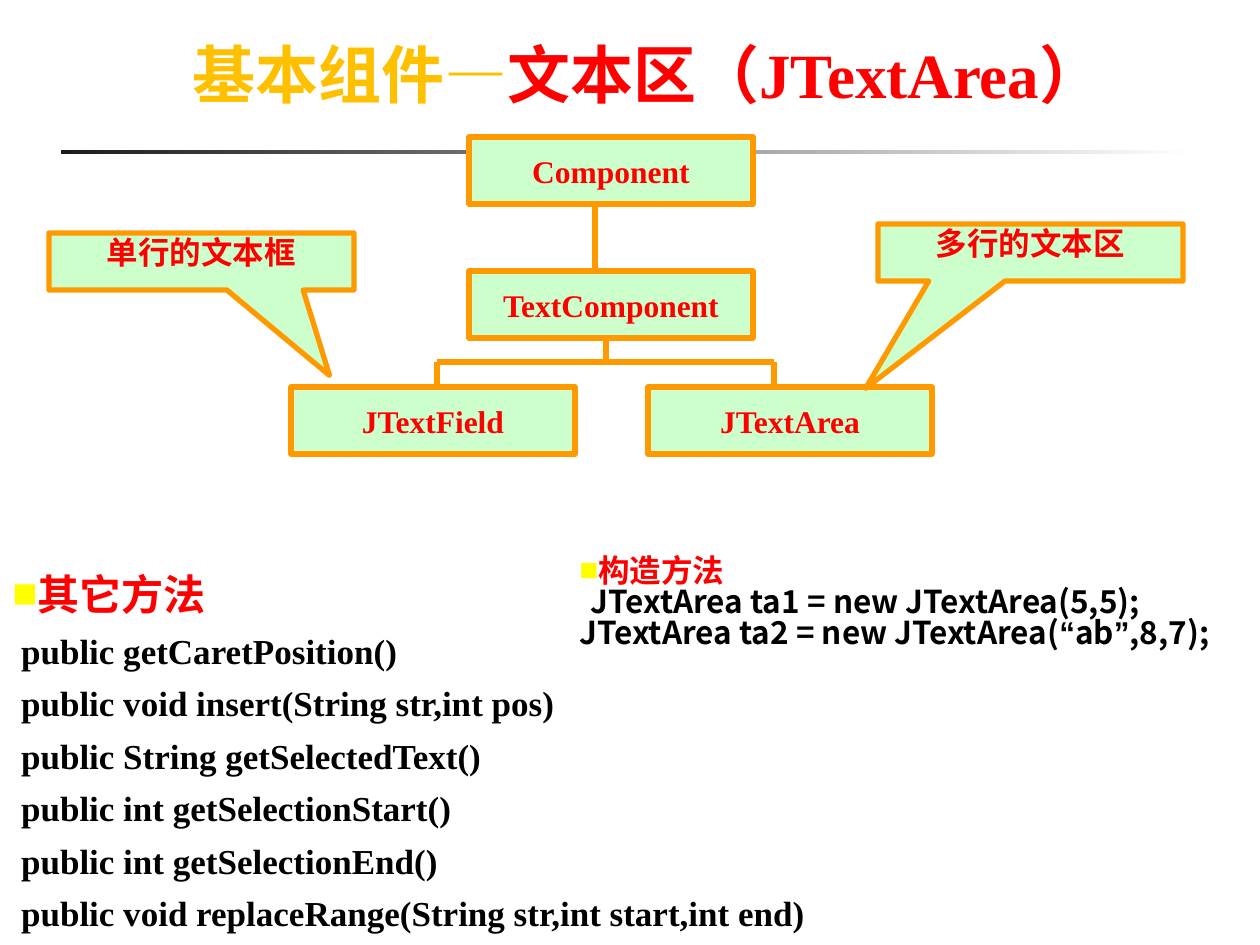
from lxml import etree
from pptx import Presentation
from pptx.dml.color import RGBColor
from pptx.enum.shapes import MSO_CONNECTOR, MSO_SHAPE
from pptx.enum.text import MSO_ANCHOR, PP_ALIGN
from pptx.oxml.ns import qn
from pptx.util import Emu, Pt

RECTANGLE = MSO_SHAPE.RECTANGLE
CALLOUT = MSO_SHAPE.RECTANGULAR_CALLOUT
STRAIGHT = MSO_CONNECTOR.STRAIGHT
MIDDLE = MSO_ANCHOR.MIDDLE
CENTER = PP_ALIGN.CENTER

PX_PER_INCH = 126
RED, BLACK, GOLD, YELLOW = "FF0000", "000000", "FFC000", "FFFF00"
GREEN, ORANGE = "CCFFCC", "FF9900"
SERIF, SANS, ARIAL = "Times New Roman", "Noto Sans CJK SC", "Arial"


def px(value):
    return Emu(round(value * 914400 / PX_PER_INCH))


def color(hex_value):
    return RGBColor.from_string(hex_value)


def add_run(paragraph, text, size, hex_value, font=SERIF, asian_font=SANS):
    run = paragraph.add_run()
    run.text = text
    run.font.size = Pt(size)
    run.font.bold = True
    run.font.name = font
    run.font.color.rgb = color(hex_value)
    asian = etree.SubElement(run.font._element, qn("a:ea"))
    asian.set("typeface", asian_font)


def add_bullet(paragraph):
    properties = paragraph._p.get_or_add_pPr()
    bullet_color = etree.SubElement(properties, qn("a:buClr"))
    etree.SubElement(bullet_color, qn("a:srgbClr")).set("val", YELLOW)
    etree.SubElement(properties, qn("a:buFont")).set("typeface", ARIAL)
    etree.SubElement(properties, qn("a:buChar")).set("char", "■")


def add_text_box(slide, left, top, width, height):
    box = slide.shapes.add_textbox(px(left), px(top), px(width), px(height))
    box.text_frame.word_wrap = True
    return box.text_frame


def add_label(slide, kind, left, top, width, height, text):
    """Add a green, orange-edged shape with a centred red caption."""
    shape = slide.shapes.add_shape(kind, px(left), px(top), px(width), px(height))
    shape.shadow.inherit = False
    shape.fill.solid()
    shape.fill.fore_color.rgb = color(GREEN)
    shape.line.color.rgb = color(ORANGE)
    shape.line.width = Pt(3)
    frame = shape.text_frame
    frame.vertical_anchor = MIDDLE
    frame.word_wrap = False
    frame.paragraphs[0].alignment = CENTER
    add_run(frame.paragraphs[0], text, 18, RED)
    return shape


def add_line(slide, x1, y1, x2, y2):
    line = slide.shapes.add_connector(STRAIGHT, px(x1), px(y1), px(x2), px(y2))
    line.line.color.rgb = color(ORANGE)
    line.line.width = Pt(3)
    etree.SubElement(line._element.spPr, qn("a:effectLst"))


def add_title(slide, left, top, width, height):
    frame = add_text_box(slide, left, top, width, height)
    frame.vertical_anchor = MIDDLE
    paragraph = frame.paragraphs[0]
    paragraph.alignment = CENTER
    paragraph._p.get_or_add_pPr().set("marL", str(px(63)))
    add_run(paragraph, "基本组件—", 36, GOLD, "Noto Sans CJK JP", "Noto Sans CJK JP")
    add_run(paragraph, "文本区（JTextArea）", 36, RED)


def add_title_rule(slide, left, top, width, height):
    rule = slide.shapes.add_shape(RECTANGLE, px(left), px(top), px(width), px(height))
    rule.shadow.inherit = False
    rule.line.fill.background()
    rule.fill.gradient()
    rule.fill.gradient_angle = 0
    for stop, hex_value in zip(rule.fill.gradient_stops, ("1C1C1C", "FFFFFF")):
        stop.color.rgb = color(hex_value)


def add_class_tree(slide, left, top):
    """Draw the class hierarchy from the top left corner of its bounding box."""
    width, height = 284, 67
    classes = [
        ("Component", 178, 0),
        ("TextComponent", 178, 134),
        ("JTextField", 0, 250),
        ("JTextArea", 357, 250),
    ]
    for name, x, y in classes:
        add_label(slide, RECTANGLE, left + x, top + y, width, height, name)
    first_child, last_child, branch_y = 146, 483, 225
    lines = [
        (304, height, 304, 134),
        (315, 134 + height, 315, branch_y),
        (first_child, branch_y, last_child, branch_y),
        (first_child, branch_y, first_child, 250),
        (last_child, branch_y, last_child, 250),
    ]
    for x1, y1, x2, y2 in lines:
        add_line(slide, left + x1, top + y1, left + x2, top + y2)


def add_callout(slide, left, top, text, tip):
    """Add a callout whose tip is given as fractions of its size from the centre."""
    callout = add_label(slide, CALLOUT, left, top, 305, 57, text)
    callout.adjustments[0], callout.adjustments[1] = tip
    callout.text_frame.vertical_anchor = MSO_ANCHOR.TOP
    callout.text_frame.margin_top = 0


def add_constructors(slide, left, top, width, height):
    frame = add_text_box(slide, left, top, width, height)
    heading = frame.paragraphs[0]
    heading.line_spacing = 1.2
    add_bullet(heading)
    add_run(heading, "构造方法", 18, RED)
    examples = [
        [(" ", "Comic Neue"), ("JTextArea ta1 = new JTextArea(5,5);", SANS)],
        [("JTextArea ta2 = new JTextArea(", SANS), ("“", ARIAL), ("ab", SANS),
         ("”", ARIAL), (",8,7);", SANS)],
    ]
    for example in examples:
        paragraph = frame.add_paragraph()
        paragraph.line_spacing = 0.83
        for text, font in example:
            add_run(paragraph, text, 18, BLACK, font, font)


def add_other_methods(slide, left, top, width, height):
    frame = add_text_box(slide, left, top, width, height)
    heading = frame.paragraphs[0]
    heading.line_spacing = 1.2
    add_bullet(heading)
    add_run(heading, "其它方法", 24, RED)
    methods = [
        "getCaretPosition()",
        "void insert(String str,int pos)",
        "String getSelectedText()",
        "int getSelectionStart()",
        "int getSelectionEnd()",
        "void replaceRange(String str,int start,int end)",
    ]
    for method in methods:
        paragraph = frame.add_paragraph()
        paragraph.line_spacing = 1.2
        paragraph.space_before = Pt(1.2)
        add_run(paragraph, f" public {method}", 20, BLACK)


def main():
    presentation = Presentation()
    presentation.slide_width, presentation.slide_height = px(1260), px(945)
    slide = presentation.slides.add_slide(presentation.slide_layouts[6])
    add_title_rule(slide, 61, 150, 1134, 4)
    add_constructors(slide, 567, 537, 678, 237)
    add_class_tree(slide, 291, 137)
    add_callout(slide, 49, 233, "单行的文本框", (0.42, 2))
    add_callout(slide, 878, 224, "多行的文本区", (-0.54, 2.38))
    add_title(slide, 49, 29, 1134, 88)
    add_other_methods(slide, 0, 552, 867, 374)
    presentation.save("out.pptx")


if __name__ == "__main__":
    main()
